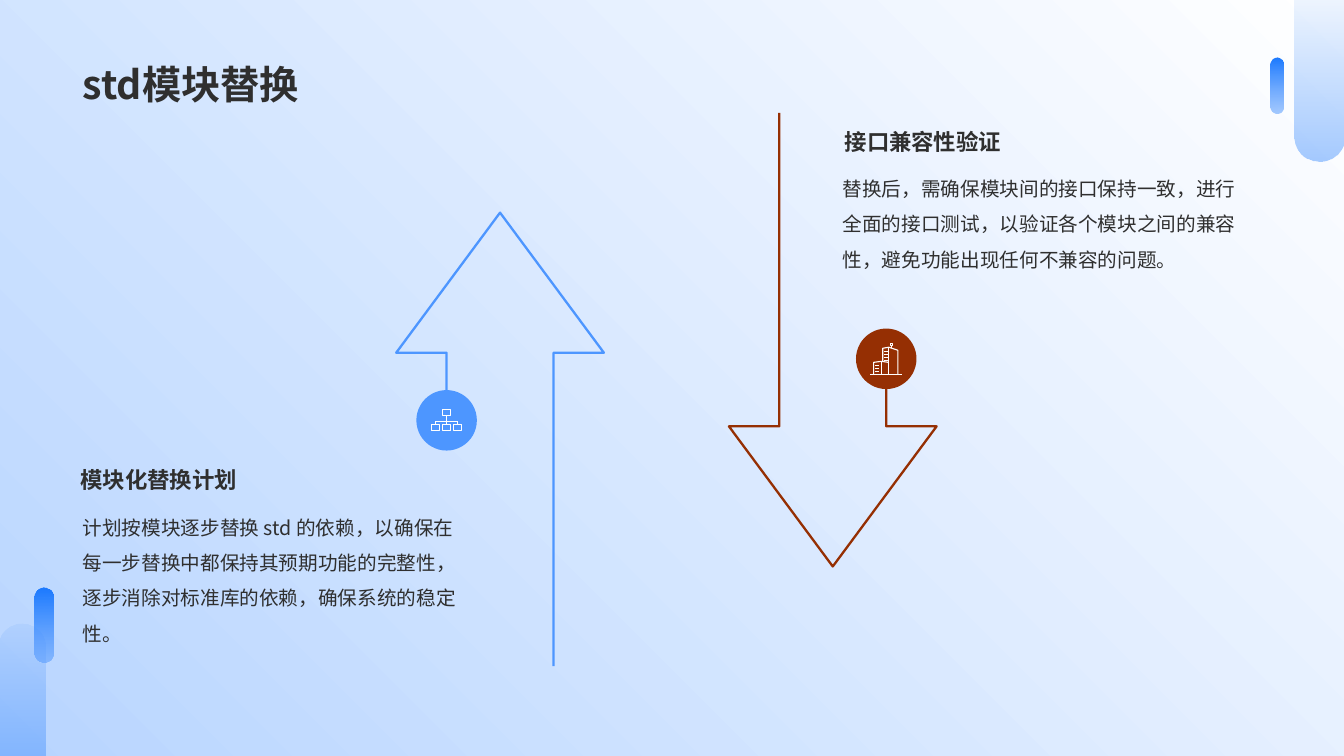
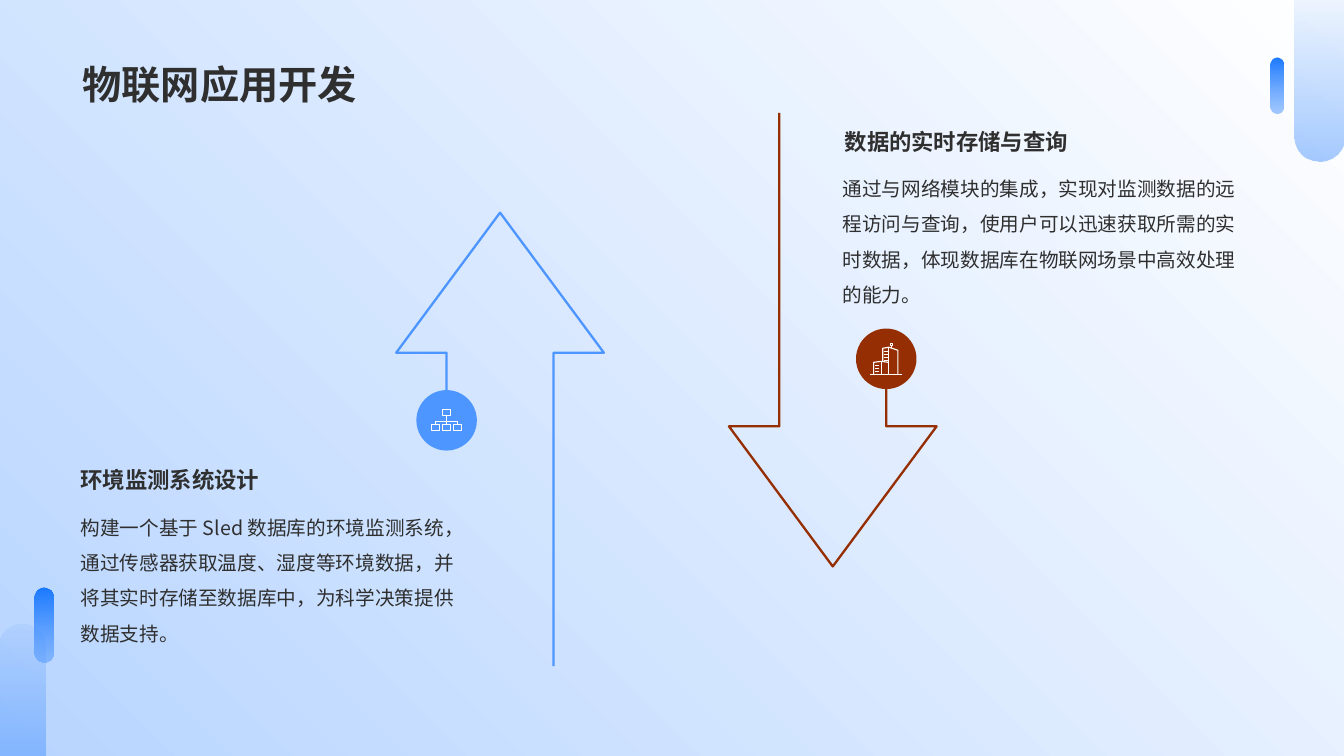
from lxml.etree import SubElement
from pptx import Presentation
from pptx.dml.color import RGBColor
from pptx.enum.lang import MSO_LANGUAGE_ID
from pptx.enum.shapes import MSO_SHAPE, PP_PLACEHOLDER
from pptx.enum.text import MSO_ANCHOR, MSO_AUTO_SIZE
from pptx.oxml.ns import qn
from pptx.util import Inches, Pt

FONT = "Noto Sans CJK SC"
INK = RGBColor(0x2F, 0x2F, 0x2F)
WHITE = RGBColor(0xFF, 0xFF, 0xFF)
PALE = RGBColor(0xB8, 0xD5, 0xFF)
BLUE = RGBColor(0x4D, 0x96, 0xFF)
DEEP = RGBColor(0x1C, 0x7A, 0xFF)
RUST = RGBColor(0x95, 0x2F, 0x03)

# Content: title, left edge of the left body, then (heading, body) left and right
SLIDES = [
    ("std模块替换", 0.72, [
        ("模块化替换计划",
         "计划按模块逐步替换 std 的依赖，以确保在每一步替换中都保持其预期功能的完整性，"
         "逐步消除对标准库的依赖，确保系统的稳定性。"),
        ("接口兼容性验证",
         "替换后，需确保模块间的接口保持一致，进行全面的接口测试，"
         "以验证各个模块之间的兼容性，避免功能出现任何不兼容的问题。"),
    ]),
    ("物联网应用开发", 0.7, [
        ("环境监测系统设计",
         "构建一个基于 Sled 数据库的环境监测系统，通过传感器获取温度、湿度等环境数据，"
         "并将其实时存储至数据库中，为科学决策提供数据支持。"),
        ("数据的实时存储与查询",
         "通过与网络模块的集成，实现对监测数据的远程访问与查询，使用户可以迅速获取所需的"
         "实时数据，体现数据库在物联网场景中高效处理的能力。"),
    ]),
]

# Corner bars: box, corner roundings, gradient stops (colour, opacity %)
SOFT = [(BLUE, 10), (BLUE, 50)]
VIVID = [(DEEP, 100), (BLUE, 50)]
BARS = [
    ((12.84, 0, 0.49, 1.6), (0, 0.5), SOFT),
    ((-0.01, 6.19, 0.46, 1.31), (0.5, 0), SOFT),
    ((12.6, 0.57, 0.13, 0.56), (0.5, 0.5), VIVID),
    ((0.34, 5.83, 0.19, 0.74), (0.5, 0.5), VIVID),
]

# Up arrow outline in inches; the down arrow is the same turned by 180 degrees
WIDE, HIGH = 2.06, 4.5
UP = [(1.56, 4.5), (1.56, 1.39), (2.06, 1.39), (1.03, 0), (0, 1.39),
      (0.5, 1.39), (0.5, 1.79)]
DOWN = [(WIDE - x, HIGH - y) for x, y in UP]


# Icons: strokes in hundredths of an inch from the circle centre
def box(x, y, w=8, h=6):
    left, right = x - w / 2, x + w / 2
    return [(left, y), (right, y), (right, y + h), (left, y + h), (left, y)]


COLS = (-11, 0, 11)
TREE = [box(0, -10.5), [(0, -4.5), (0, 1)], [(COLS[0], 1), (COLS[-1], 1)]]
for col in COLS:
    TREE += [box(col, 4.5), [(col, 1), (col, 4.5)]]

TOWER = [
    [(-16, 15.5), (16, 15.5)],
    [(-12.5, 15.5), (-12.5, 3.5), (-5, 2.5), (2.5, 3.5)],
    [(-5, 2.5), (-5, 15.5)],
    [(-3.5, 2.5), (-3.5, -10.5), (2.5, -11.5), (11.5, -8.5), (11.5, 15.5)],
    [(2.5, -11.5), (2.5, 15.5)],
    [(5.5, -10.5), (5.5, -13.5)],
    box(5.5, -15.5, 2, 2),
]
TOWER += [[(-2, y), (2, y)] for y in (-7.5, -4.5, -1.5, 1.5)]
TOWER += [[(-11, y), (-7, y)] for y in (6.5, 9.5, 12.5)]

# Sides: colour, arrow corner, outline, circle centre, icon, heading box, body box
SIDES = [
    (BLUE, (3.93, 2.11), UP, (4.43, 4.17), TREE,
     (0.7, 4.58, 4.02, 0.37), (0.7, 4.95, 4.01, 1.47)),
    (RUST, (7.23, 1.12), DOWN, (8.79, 3.56), TOWER,
     (8.28, 1.22, 4.24, 0.37), (8.26, 1.59, 4.24, 1.12)),
]


def blend(fill, root, stops, angle):
    fill.gradient()
    fill.gradient_angle = angle
    for stop, (color, _) in zip(fill.gradient_stops, stops):
        stop.color.rgb = color
    for tint, (_, alpha) in zip(root.xpath(".//a:gs/a:srgbClr"), stops):
        if alpha < 100:
            SubElement(tint, qn("a:alpha")).set("val", str(alpha * 1000))


def add_text(slide, area, text, size, bold=False, space=None):
    shape = slide.shapes.add_textbox(*map(Inches, area))
    frame = shape.text_frame
    frame.text = text
    frame.word_wrap = True
    frame.auto_size = MSO_AUTO_SIZE.SHAPE_TO_FIT_TEXT
    para = frame.paragraphs[0]
    if space:
        para.line_spacing = space
    font = para.runs[0].font
    font.name, font.size, font.bold = FONT, Pt(size), bold
    font.color.rgb = INK
    font.language_id = MSO_LANGUAGE_ID.SIMPLIFIED_CHINESE
    props = para.runs[0]._r.get_or_add_rPr()
    SubElement(props, qn("a:ea")).set("typeface", FONT)
    return shape


def add_title(slide, text):
    shape = add_text(slide, (0.72, 0.14, 11.88, 0.98), text, 28, True)
    shape.text_frame.auto_size = MSO_AUTO_SIZE.NONE
    shape.text_frame.vertical_anchor = MSO_ANCHOR.BOTTOM
    shape.text_frame.paragraphs[0].alignment = 1
    shape._element.nvSpPr.nvPr.get_or_add_ph().type = PP_PLACEHOLDER.TITLE


def draw(slide, corner, strokes, color, width, unit=1.0):
    def place(point):
        return [Inches(c + p * unit) for c, p in zip(corner, point)]

    pen = slide.shapes.build_freeform(*place(strokes[0][0]))
    for stroke in strokes:
        first, *rest = map(place, stroke)
        pen.move_to(*first)
        pen.add_line_segments(rest, close=False)
    shape = pen.convert_to_shape()
    shape.shadow.inherit = False
    shape.fill.background()
    shape.line.color.rgb = color
    shape.line.width = Pt(width)


def add_disc(slide, centre, color, size=0.6):
    x, y = (Inches(c - size / 2) for c in centre)
    disc = slide.shapes.add_shape(MSO_SHAPE.OVAL, x, y, Inches(size), Inches(size))
    disc.shadow.inherit = False
    disc.fill.solid()
    disc.fill.fore_color.rgb = color
    disc.line.fill.background()


def dress(layout, slide):
    """Give the layout its background and corner bars, made on a slide and moved."""
    blend(layout.background.fill, layout.element, [(PALE, 70), (WHITE, 100)], 45)
    for area, rounds, stops in BARS:
        bar = slide.shapes.add_shape(
            MSO_SHAPE.ROUND_2_SAME_RECTANGLE, *map(Inches, area))
        bar.shadow.inherit = False
        bar.adjustments[0], bar.adjustments[1] = rounds
        blend(bar.fill, bar._element, stops, 270)
        bar.line.fill.background()
        layout.shapes.element.append(bar._element)


def main():
    deck = Presentation()
    deck.slide_width, deck.slide_height = Inches(13.33), Inches(7.5)
    layout = deck.slide_layouts[6]
    pages = [deck.slides.add_slide(layout) for _ in SLIDES]
    dress(layout, pages[0])

    for slide, (title, left, texts) in zip(pages, SLIDES):
        add_title(slide, title)
        for side, (head, body) in zip(SIDES, texts):
            color, corner, arrow, centre, icon, top, area = side
            if side is SIDES[0]:
                area = (left, *area[1:])
            draw(slide, corner, [arrow], color, 1.63)
            add_disc(slide, centre, color)
            draw(slide, centre, icon, WHITE, 0.8, 0.01)
            add_text(slide, area, body, 14, space=1.5)
            add_text(slide, top, head, 16, True)

    deck.save("out.pptx")


if __name__ == "__main__":
    main()
